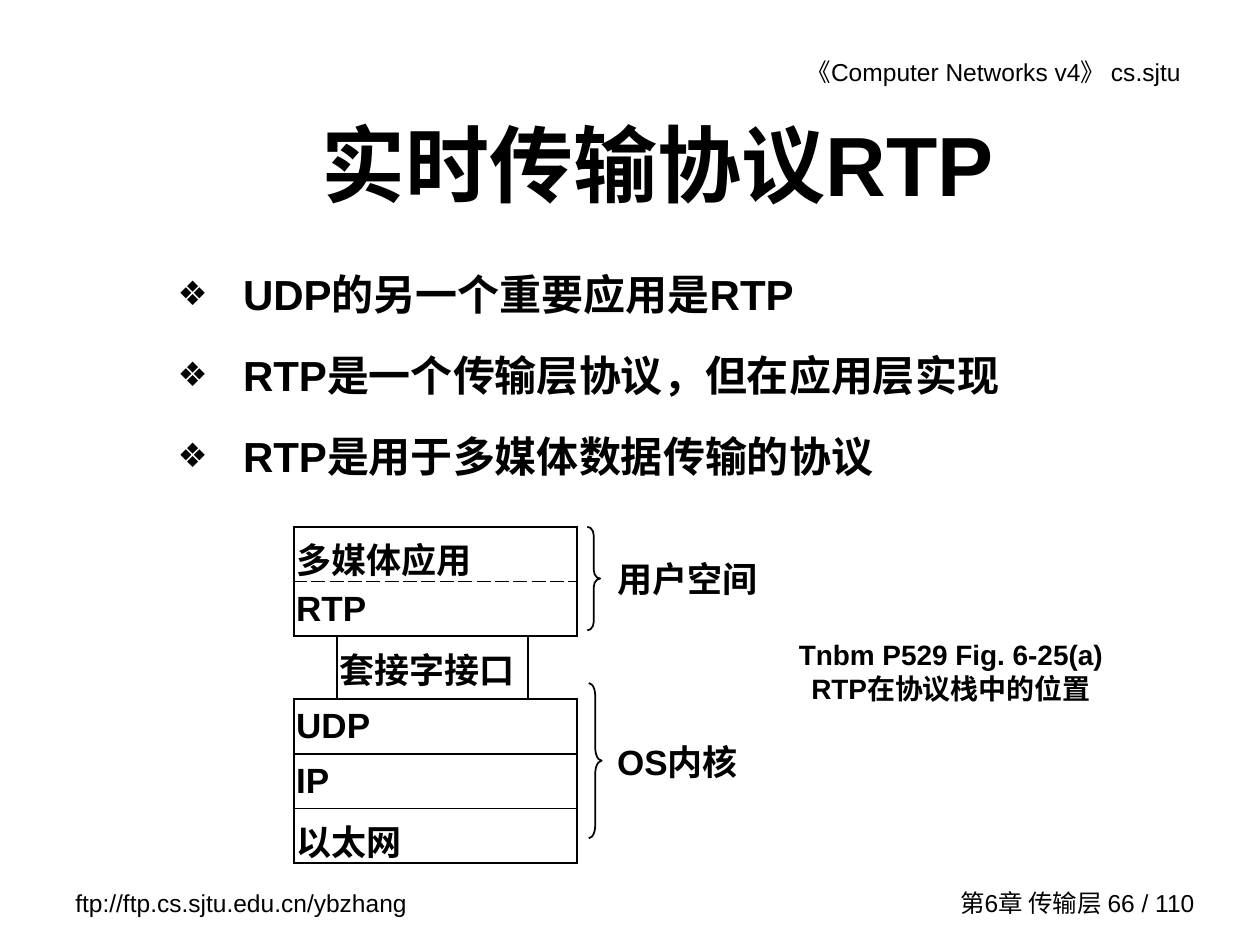
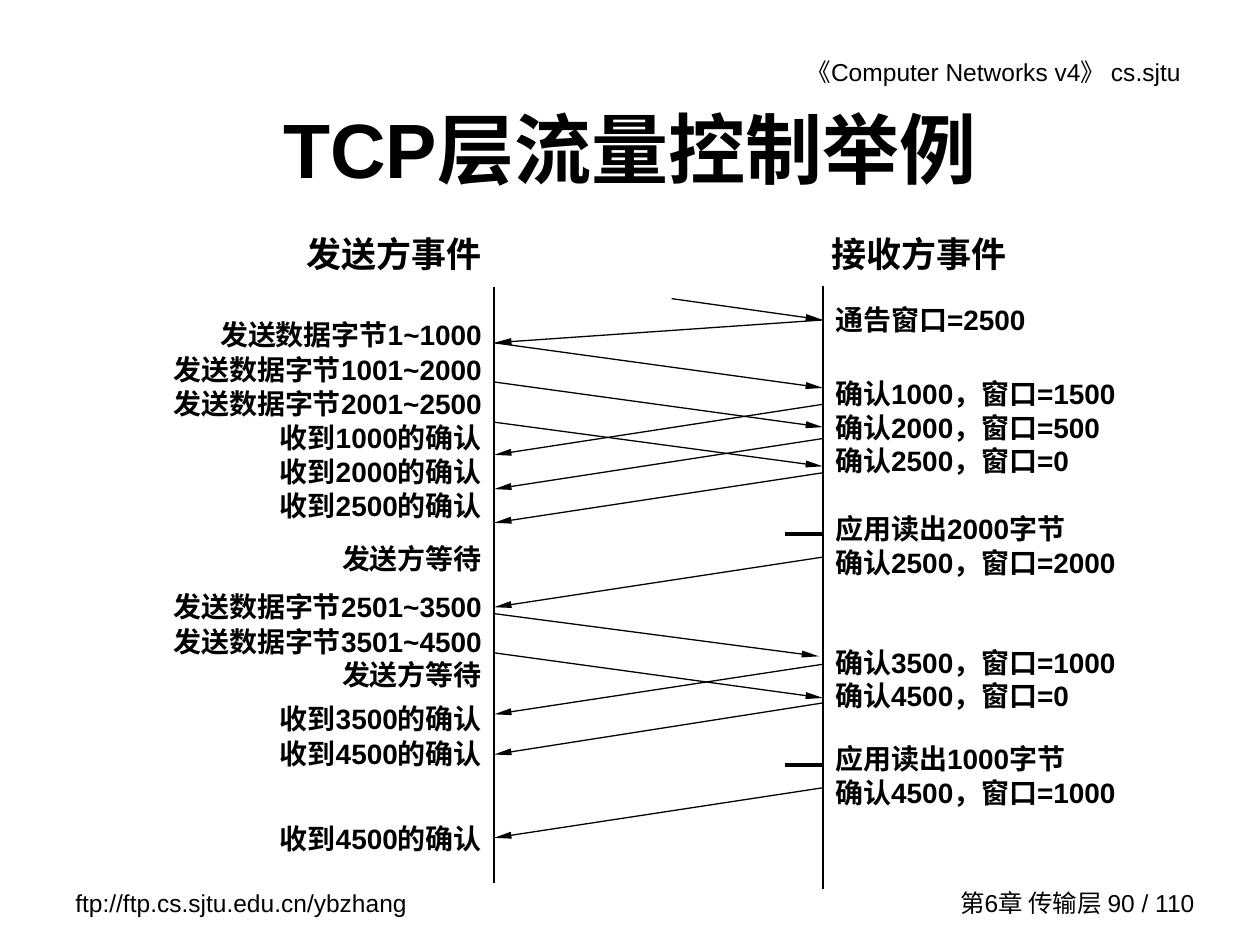
"""Builds two lecture slides on RTP and TCP flow control."""
from lxml import etree
from pptx import Presentation
from pptx.dml.color import RGBColor
from pptx.enum.shapes import MSO_CONNECTOR, MSO_SHAPE
from pptx.enum.text import MSO_ANCHOR, PP_ALIGN
from pptx.oxml.ns import qn
from pptx.util import Cm, Pt

LEFT, MID, RIGHT = PP_ALIGN.LEFT, PP_ALIGN.CENTER, PP_ALIGN.RIGHT
TOP, CENTER = MSO_ANCHOR.TOP, MSO_ANCHOR.MIDDLE
STRAIGHT, BRACE = MSO_CONNECTOR.STRAIGHT, MSO_SHAPE.RIGHT_BRACE
INK = "000000"
FACE = "Arial"

COURSE = "《Computer Networks v4》 cs.sjtu"
SITE = "ftp://ftp.cs.sjtu.edu.cn/ybzhang"
CHAPTER = "第6章 传输层 {} / 110"

POINTS = [
    "UDP的另一个重要应用是RTP",
    "RTP是一个传输层协议，但在应用层实现",
    "RTP是用于多媒体数据传输的协议",
]
STACK = ["多媒体应用", "RTP", "套接字接口", "UDP", "IP", "以太网"]
SOCKET = 2
COLS = [0.87, 3.86, 0.98]
ROW, TALL = 1.1, 1.27
SPACES = [
    ("用户空间", 11.12, 11.84, 10.62, 2.09),
    ("OS内核", 14.81, 11.87, 13.77, 3.13),
]
CAPTION = "Tnbm P529 Fig. 6-25(a) RTP在协议栈中的位置"

SENDER = [
    (6.27, 1.02, ["发送数据字节1~1000", "发送数据字节1001~2000",
                  "发送数据字节2001~2500", "收到1000的确认",
                  "收到2000的确认", "收到2500的确认"]),
    (10.8, 1, ["发送方等待"]),
    (11.73, 1.04, ["发送数据字节2501~3500", "发送数据字节3501~4500"]),
    (13.13, 1, ["发送方等待"]),
    (14, 1.04, ["收到3500的确认", "收到4500的确认"]),
    (16.43, 1, ["收到4500的确认"]),
]
TAKER = [
    (5.97, 1, ["通告窗口=2500"]),
    (7.47, 1, ["确认1000，窗口=1500", "确认2000，窗口=500",
               "确认2500，窗口=0"]),
    (10.19, 1, ["应用读出2000字节", "确认2500，窗口=2000"]),
    (12.88, 1, ["确认3500，窗口=1000", "确认4500，窗口=0"]),
    (14.83, 1, ["应用读出1000字节", "确认4500，窗口=1000"]),
]
SENDX, TAKEX = 9.96, 16.59
AXES = [(SENDX, 5.79, 17.81), (TAKEX, 5.77, 17.93)]
DATA = [(6.91, 7.82), (7.7, 8.61), (8.51, 9.4), (13.16, 14.07)]
ACKS = [(6.45, 6.91), (8.15, 9.17), (8.84, 9.86), (9.53, 10.54),
        (11.23, 12.24), (13.39, 14.4), (14.17, 15.21), (15.88, 16.89)]
SHORT = [(13.54, 6.02, TAKEX, 6.45), (SENDX, 12.37, 16.51, 13.23)]
READS = [10.77, 15.42]
TICK = 0.77


def color(code):
    return RGBColor.from_string(code)


def style(para, size, bold=True, face=FACE):
    font = para.font
    font.name, font.size, font.bold = face, Pt(size), bold
    font.color.rgb = color(INK)


def text(slide, box, lines, size, align=LEFT, bold=True, anchor=TOP,
         gap=1, face=FACE):
    frame = slide.shapes.add_textbox(*map(Cm, box)).text_frame
    frame.word_wrap = True
    frame.vertical_anchor = anchor
    for i, line in enumerate(lines):
        para = frame.add_paragraph() if i else frame.paragraphs[0]
        para.text = line
        para.alignment = align
        para.line_spacing = gap
        style(para, size, bold, face)
    return frame


def line(slide, x1, y1, x2, y2, width=0.75, arrow=False):
    link = slide.shapes.add_connector(STRAIGHT, *map(Cm, (x1, y1, x2, y2)))
    link.line.color.rgb = color(INK)
    link.line.width = Pt(width)
    if arrow:
        etree.SubElement(link.line._get_or_add_ln(), qn("a:tailEnd"),
                         type="triangle", w="sm", len="lg")
    etree.SubElement(link._element.spPr, qn("a:effectLst"))


def start(deck, title, box, size, page):
    slide = deck.slides.add_slide(deck.slide_layouts[6])
    text(slide, (13.41, 1.02, 10.64, 0.86), [COURSE], 14, RIGHT, False)
    text(slide, (1.27, 17.78, 7.8, 0.86), [SITE], 14, LEFT, False)
    text(slide, (18.59, 17.78, 5.74, 0.84), [CHAPTER.format(page)], 14,
         RIGHT, False, CENTER)
    text(slide, box, [title], size, MID, anchor=CENTER)
    return slide


def bullet(para):
    props = para._p.get_or_add_pPr()
    props.set("marL", str(Cm(1.32)))
    props.set("indent", str(Cm(-1.32)))
    tint = etree.SubElement(props, qn("a:buClr"))
    etree.SubElement(tint, qn("a:srgbClr"), val=INK)
    etree.SubElement(props, qn("a:buSzPct"), val="80000")
    etree.SubElement(props, qn("a:buFont"), typeface=FACE)
    etree.SubElement(props, qn("a:buChar"), char="❖")


def border(cell, sides, dashed):
    props = cell._tc.get_or_add_tcPr()
    for i, side in enumerate("LRTB"):
        dash = side == dashed
        edge = etree.Element(qn("a:ln" + side),
                             w=str(Pt(0.75 if dash else 1.08)))
        if side in sides:
            fill = etree.SubElement(edge, qn("a:solidFill"))
            etree.SubElement(fill, qn("a:srgbClr"), val=INK)
            etree.SubElement(edge, qn("a:prstDash"),
                             val="dash" if dash else "solid")
        else:
            etree.SubElement(edge, qn("a:noFill"))
        props.insert(i, edge)


def edges(row, col):
    if row == SOCKET:
        return ["RTB", "LRTB", "LTB"][col]
    return ["LRTB", "TB", "RTB"][col]


def stack(slide):
    high = ROW * (len(STACK) - 1) + TALL
    table = slide.shapes.add_table(
        len(STACK), len(COLS), Cm(5.92), Cm(10.62), Cm(sum(COLS)),
        Cm(high)).table
    table.first_row = table.horz_banding = False
    for col, wide in enumerate(COLS):
        table.columns[col].width = Cm(wide)
    for row, name in enumerate(STACK):
        table.rows[row].height = Cm(TALL if row == SOCKET else ROW)
        dashed = {0: "B", 1: "T"}.get(row)
        for col in range(len(COLS)):
            cell = table.cell(row, col)
            cell.fill.background()
            cell.margin_left = cell.margin_right = Cm(0.05)
            border(cell, edges(row, col), dashed)
        if row != SOCKET:
            table.cell(row, 0).merge(table.cell(row, len(COLS) - 1))
        cell = table.cell(row, 1 if row == SOCKET else 0)
        cell.vertical_anchor = CENTER
        cell.text = name
        style(cell.text_frame.paragraphs[0], 20)


def brace(slide, x, y, high):
    wide = 0.26
    shape = slide.shapes.add_shape(BRACE, Cm(x), Cm(y), Cm(wide), Cm(high))
    shape.shadow.inherit = False
    shape.fill.background()
    shape.line.color.rgb = color(INK)
    shape.line.width = Pt(1)
    shape.adjustments[0] = high / wide / 12


def rtp(deck):
    slide = start(deck, "实时传输协议RTP", (2.21, 1.7, 22.1, 3.18), 48, 66)
    frame = text(slide, (3.33, 4.88, 19.41, 5.56), POINTS, 24, gap=1.4)
    for i, para in enumerate(frame.paragraphs):
        if i:
            para.space_before = Pt(6)
        bullet(para)
    stack(slide)
    for name, top, x, y, high in SPACES:
        brace(slide, x, y, high)
        text(slide, (12.19, top, 3.6, 1.12), [name], 20)
    text(slide, (15.6, 12.73, 7.14, 1.73), [CAPTION], 16, MID)


def flow(deck):
    slide = start(deck, "TCP层流量控制举例", (1.9, 1.7, 21.6, 2.54), 44, 90)
    wide = 7.21
    sides = [("发送方事件", SENDX - wide, SENDX - wide, RIGHT, SENDER),
             ("接收方事件", 16.51, TAKEX, LEFT, TAKER)]
    for head, headx, x, align, blocks in sides:
        text(slide, (headx, 4.57, wide, 1.17), [head], 20, align,
             face="Times New Roman")
        for top, gap, lines in blocks:
            text(slide, (x, top, wide, 0.68 * len(lines) + 0.3), lines, 16,
                 align, gap=gap)
    for x, top, end in AXES:
        line(slide, x, top, x, end)
    paths = [(SENDX, a, TAKEX, b) for a, b in DATA]
    paths += [(TAKEX, a, SENDX, b) for a, b in ACKS]
    for ends in paths + SHORT:
        line(slide, *ends, arrow=True)
    for y in READS:
        line(slide, TAKEX - TICK, y, TAKEX, y, 2)


def main():
    deck = Presentation()
    deck.slide_width, deck.slide_height = Cm(25.4), Cm(19.05)
    rtp(deck)
    flow(deck)
    deck.save("out.pptx")


if __name__ == "__main__":
    main()
